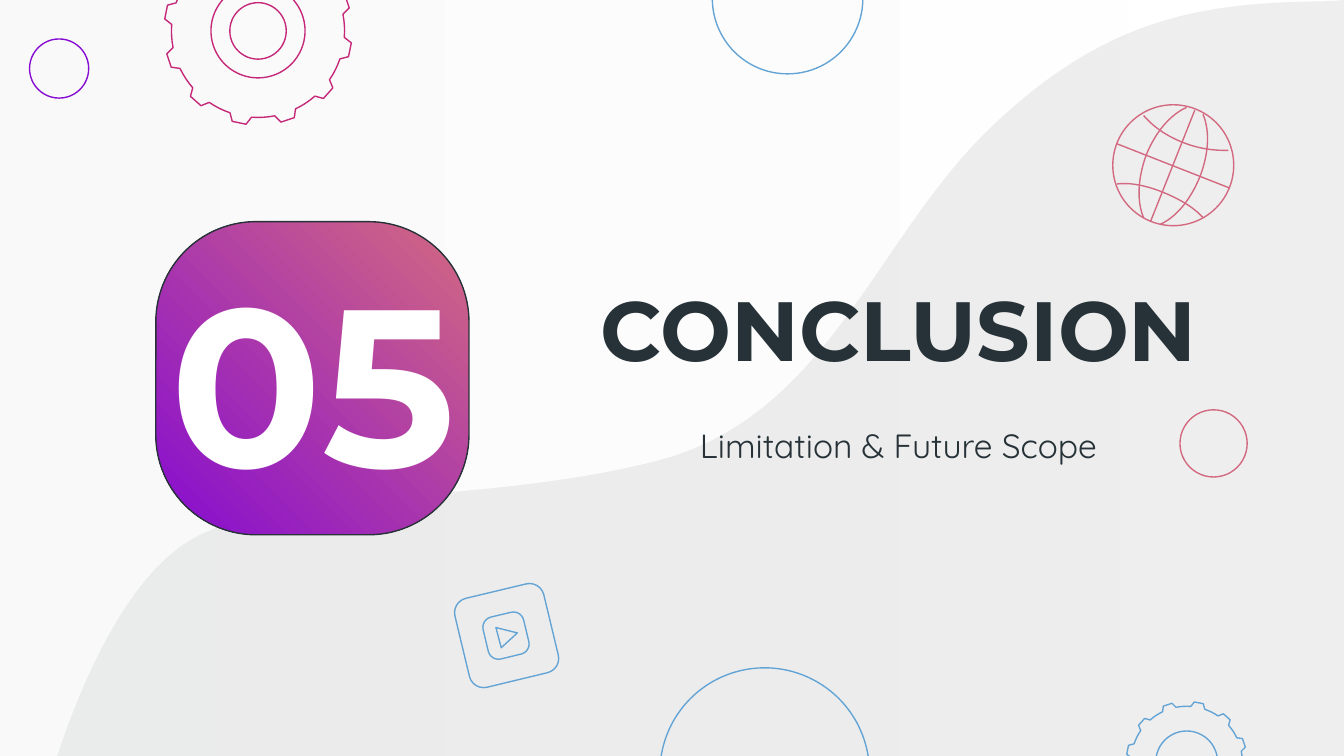
from math import cos, radians, sin

from lxml.etree import SubElement
from pptx import Presentation
from pptx.dml.color import RGBColor
from pptx.enum.shapes import MSO_CONNECTOR, MSO_SHAPE
from pptx.enum.text import MSO_ANCHOR, PP_ALIGN
from pptx.oxml.ns import qn
from pptx.util import Cm, Pt

WHITE = RGBColor(0xFF, 0xFF, 0xFF)
PALE = RGBColor(0xF3, 0xF3, 0xF3)
GREY = RGBColor(0xD6, 0xD7, 0xD7)
INK = RGBColor(0x26, 0x32, 0x38)
PURPLE = RGBColor(0x86, 0x0C, 0xD1)
PINK = RGBColor(0xD3, 0x69, 0x80)
MAGENTA = RGBColor(0xC5, 0x28, 0x78)
BLUE = RGBColor(0x63, 0xA4, 0xD5)

CM_PER_INCH = 2.54
LINE_WIDTH = Pt(0.75)
OPACITY = 41

TEXTS = [
    ((3.96, 1.98, 5.45, 0.92), "CONCLUSION",
     {"name": "Montserrat", "size": Pt(45), "bold": True}, INK),
    ((0.96, 2.15, 2.74, 1.33), "05",
     {"name": "Montserrat", "size": Pt(120), "bold": True}, WHITE),
    ((3.96, 2.97, 5.45, 0.68), "Limitation & Future Scope",
     {"name": "Quicksand", "size": Pt(18), "bold": False}, INK),
]

WAVE = [
    (10.69, -0.19), (10.4, 6.43), (0.32, 5.98),
    (0.35, 5.88, 0.75, 4.31, 1.51, 3.97),
    (2.29, 3.62, 3.54, 3.76, 4.85, 3.44),
    (6.15, 3.13, 6.5, 1.79, 7.36, 0.96),
    (8.22, 0.13, 8.94, 0.02, 9.84, 0.01),
    (10.22, 0, 10.48, -0.09, 10.69, -0.19),
]

CIRCLES = [
    (0.44, 0.51, 0.22, PURPLE),
    (9.03, 3.3, 0.25, PINK),
    (5.86, -0.01, 0.56, BLUE),
    (5.69, 5.75, 0.78, BLUE),
    (8.83, 5.67, 0.23, BLUE),
    (1.92, 0.23, 0.35, MAGENTA),
    (1.92, 0.23, 0.21, MAGENTA),
    (8.73, 1.23, 0.45, PINK),
]

GEARS = [(8.83, 5.67, 0.45, BLUE), (1.92, 0.23, 0.7, MAGENTA)]
TOOTH_COUNT = 12
FIRST_TOOTH = 11.6
TOOTH_PROFILE = [(-7.3, 0.92), (-4.3, 1), (4.3, 1), (7.3, 0.92),
                 (11.2, 0.92), (15, 0.92), (18.8, 0.92)]

GLOBE_AXES = [(8.89, 0.82, 8.56, 1.65), (8.31, 1.07, 9.15, 1.4)]
GLOBE_ARCS = [
    [(8.51, 1.62), (8.51, 1.62, 8.42, 1.45, 8.53, 1.15),
     (8.65, 0.86, 8.83, 0.8, 8.83, 0.8)],
    [(8.63, 1.67), (8.63, 1.67, 8.81, 1.61, 8.93, 1.31),
     (9.04, 1.02, 8.95, 0.85, 8.95, 0.85)],
    [(8.95, 1.62), (8.9, 1.56, 8.8, 1.49, 8.65, 1.43),
     (8.5, 1.37, 8.39, 1.36, 8.31, 1.37)],
    [(8.51, 0.86), (8.56, 0.92, 8.65, 1, 8.8, 1.06),
     (8.95, 1.12, 9.07, 1.12, 9.14, 1.12)],
]

BUTTON_FRAMES = [((3.43, 4.39, 0.68, 0.68), 0.16), ((3.61, 4.57, 0.31, 0.32), 0.25)]
BUTTON_ROTATION = -13.5
PLAY_TRIANGLE = [(3.69, 4.67), (3.73, 4.82), (3.85, 4.71)]


def lengths(values):
    return [Cm(value * CM_PER_INCH) for value in values]


def style(shape, fill=None, line=None):
    shape.shadow.inherit = False
    if isinstance(fill, tuple) and not isinstance(fill, RGBColor):
        angle, colors = fill
        shape.fill.gradient()
        shape.fill.gradient_angle = angle
        for stop, color in zip(shape.fill.gradient_stops, colors):
            stop.color.rgb = color
    elif fill is not None:
        shape.fill.solid()
        shape.fill.fore_color.rgb = fill
    else:
        shape.fill.background()
    if line is None:
        shape.line.fill.background()
    else:
        shape.line.color.rgb = line
        shape.line.width = LINE_WIDTH


def make_translucent(shape):
    for color in shape._element.spPr.iter(qn("a:srgbClr")):
        SubElement(color, qn("a:alpha")).set("val", str(OPACITY * 1000))


def add_preset(slide, kind, box, fill=None, line=None):
    shape = slide.shapes.add_shape(kind, *lengths(box))
    style(shape, fill, line)
    return shape


def flatten(path, steps=24):
    points = [path[0]]
    for segment in path[1:]:
        if len(segment) == 2:
            points.append(segment)
            continue
        controls = [points[-1], segment[:2], segment[2:4], segment[4:]]
        for step in range(1, steps + 1):
            t = step / steps
            weights = ((1 - t) ** 3, 3 * t * (1 - t) ** 2, 3 * t * t * (1 - t), t ** 3)
            points.append(tuple(
                sum(weight * point[axis] for weight, point in zip(weights, controls))
                for axis in (0, 1)))
    return points


def add_outline(slide, path, close=True, fill=None, line=None):
    points = [lengths(point) for point in flatten(path)]
    builder = slide.shapes.build_freeform(*points[0])
    builder.add_line_segments(points[1:], close=close)
    shape = builder.convert_to_shape()
    style(shape, fill, line)
    return shape


def gear_points(x, y, radius):
    points = []
    for tooth in range(TOOTH_COUNT):
        middle = FIRST_TOOTH + tooth * 360 / TOOTH_COUNT
        for offset, ratio in TOOTH_PROFILE:
            angle = radians(middle + offset)
            points.append((x + radius * ratio * cos(angle), y + radius * ratio * sin(angle)))
    return points


def add_text(slide, box, text, font_values, color):
    frame = slide.shapes.add_textbox(*lengths(box)).text_frame
    margin = Cm(0.25)
    frame_values = {"word_wrap": True, "vertical_anchor": MSO_ANCHOR.MIDDLE,
                    "margin_left": margin, "margin_right": margin,
                    "margin_top": margin, "margin_bottom": margin}
    for name, value in frame_values.items():
        setattr(frame, name, value)
    paragraph = frame.paragraphs[0]
    paragraph.alignment = PP_ALIGN.CENTER
    run = paragraph.add_run()
    run.text = text
    for name, value in font_values.items():
        setattr(run.font, name, value)
    run.font.color.rgb = color


def main():
    presentation = Presentation()
    presentation.slide_width = Cm(25.4)
    presentation.slide_height = Cm(14.29)
    slide = presentation.slides.add_slide(presentation.slide_layouts[6])

    make_translucent(add_preset(slide, MSO_SHAPE.RECTANGLE, (-0.07, -0.07, 10.14, 5.77),
                                (180, (WHITE, PALE))))
    make_translucent(add_outline(slide, WAVE, fill=GREY))

    for x, y, radius, color in CIRCLES:
        box = (x - radius, y - radius, 2 * radius, 2 * radius)
        add_preset(slide, MSO_SHAPE.OVAL, box, line=color)
    for x, y, radius, color in GEARS:
        add_outline(slide, gear_points(x, y, radius), line=color)

    badge = add_preset(slide, MSO_SHAPE.ROUNDED_RECTANGLE, (1.16, 1.65, 2.33, 2.33),
                       (225, (PINK, PURPLE)), INK)
    badge.adjustments[0] = 0.32
    for text in TEXTS:
        add_text(slide, *text)

    for box, roundness in BUTTON_FRAMES:
        button = add_preset(slide, MSO_SHAPE.ROUNDED_RECTANGLE, box, line=BLUE)
        button.adjustments[0] = roundness
        button.rotation = BUTTON_ROTATION
    add_outline(slide, PLAY_TRIANGLE, line=BLUE)

    for axis in GLOBE_AXES:
        connector = slide.shapes.add_connector(MSO_CONNECTOR.STRAIGHT, *lengths(axis))
        connector.line.color.rgb = PINK
        connector.line.width = LINE_WIDTH
        SubElement(connector._element.spPr, qn("a:effectLst"))
    for arc in GLOBE_ARCS:
        add_outline(slide, arc, close=False, line=PINK)

    presentation.save("out.pptx")


if __name__ == "__main__":
    main()
